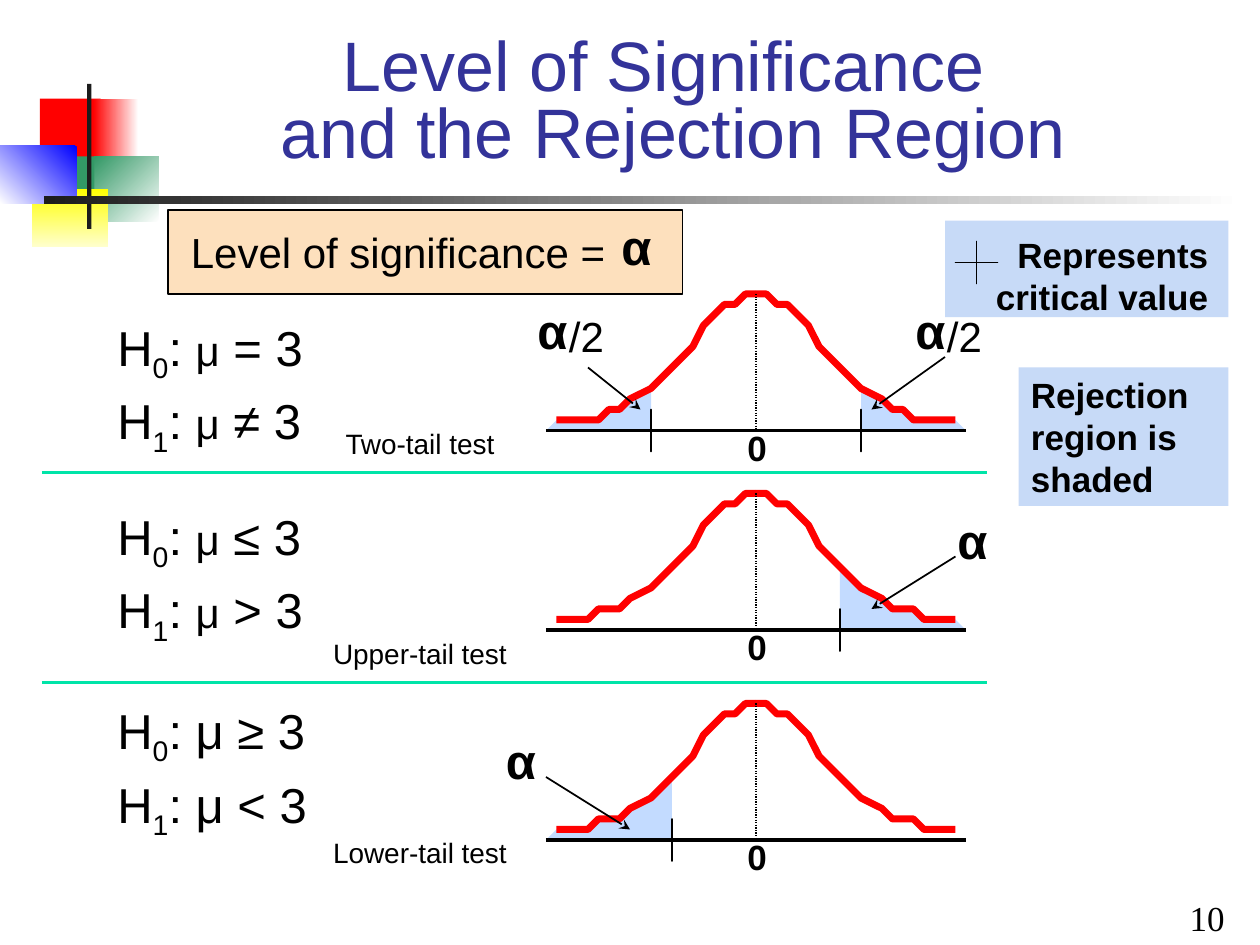
from pptx import Presentation
from pptx.dml.color import RGBColor
from pptx.enum.dml import MSO_LINE
from pptx.enum.shapes import MSO_CONNECTOR, MSO_SHAPE
from pptx.enum.text import MSO_ANCHOR, PP_ALIGN
from pptx.oxml.ns import qn
from pptx.util import Inches, Pt
from lxml.etree import SubElement

COLORS = {
    "black": "000000", "white": "FFFFFF", "ink": "1C1C1C", "title": "333399",
    "red": "FF0000", "green": "339966", "yellow": "FFFF00", "cream": "FFFFCC",
    "blue": "0000FF", "peach": "FDE0BD", "note": "C7DAF7", "tail": "C3DBFF",
    "star": "F8F800", "divider": "00E4A8",
}
RGB = {name: RGBColor.from_string(value) for name, value in COLORS.items()}

# The slide is a grid of 120 columns by 90 rows
deck = Presentation()
deck.slide_width, deck.slide_height = Inches(10), Inches(7.5)
CELL = deck.slide_width / 120
page = deck.slides.add_slide(deck.slide_layouts[5])


def write(text, left, top, width, height, size=24, bold=False, font="Arial",
          align=PP_ALIGN.LEFT, anchor=MSO_ANCHOR.TOP, spacing=None,
          mu_size=None, fill=None):
    """Add a text box; bars split a line as plain|subscript|plain|mu|plain."""
    box = page.shapes.add_textbox(*(int(n * CELL) for n in (left, top, width, height)))
    if fill:
        box.fill.solid()
        box.fill.fore_color.rgb = RGB[fill]
    frame = box.text_frame
    frame.word_wrap = True
    frame.vertical_anchor = anchor
    for number, line in enumerate(text.split("\n")):
        para = frame.add_paragraph() if number else frame.paragraphs[0]
        para.alignment = align
        para.line_spacing = spacing
        for index, piece in enumerate(line.split("|")):
            span = para.add_run()
            span.text = piece
            span.font.name, span.font.bold = font, bold
            span.font.size = Pt(mu_size if index == 3 else size)
            span.font.color.rgb = RGB["black"]
            if index == 1:
                span._r.get_or_add_rPr().set("baseline", "-25000")
    return box


def draw_path(points, fill=None, line=None, weight=1):
    """Draw an outline through grid points; it is closed when filled."""
    builder = page.shapes.build_freeform(*points[0], scale=CELL)
    builder.add_line_segments(points[1:], close=bool(fill))
    path = builder.convert_to_shape()
    path.shadow.inherit = False
    if fill:
        path.fill.solid()
        path.fill.fore_color.rgb = RGB[fill]
    else:
        path.fill.background()
    if line:
        path.line.color.rgb = RGB[line]
        path.line.width = Pt(weight)
    else:
        path.line.fill.background()


# Corner ornament, rule and peach box: left, top, width, height, colours, angle
blocks = [
    (3.8, 9.4, 5.8, 6.2, ["red"], 0),
    (8.9, 9.4, 4.3, 6.2, ["white", "red"], 180),
    (9, 14.9, 6.1, 6.2, ["white", "green"], 135),
    (5.2, 14.9, 3.8, 6.2, ["green"], 0),
    (3, 18, 7.3, 5.5, ["yellow", "cream"], 270),
    (0, 13.9, 7.3, 5.5, ["blue", "white"], 225),
    (8.3, 8, 0.4, 13.8, ["ink"], 0),
    (4.2, 18.7, 114.1, 0.7, ["white", "ink"], 180),
    (16, 20, 49, 8, ["peach"], 0),
]
for *place, tones, angle in blocks:
    block = page.shapes.add_shape(MSO_SHAPE.RECTANGLE, *(int(n * CELL) for n in place))
    block.shadow.inherit = False
    block.line.fill.background()
    if len(tones) == 1:
        block.fill.solid()
        block.fill.fore_color.rgb = RGB[tones[0]]
    else:
        block.fill.gradient()
        block.fill.gradient_angle = angle
        for stop, tone in zip(block.fill.gradient_stops, tones):
            stop.color.rgb = RGB[tone]
block.line.color.rgb = RGB["black"]
block.line.width = Pt(0.75)

# Title
title = page.shapes.title
title.left, title.top, title.width, title.height = (
    int(n * CELL) for n in (13, 4, 102.2, 13))
title.text_frame.text = "Level of Significance \vand the Rejection Region"
title.text_frame.vertical_anchor = MSO_ANCHOR.BOTTOM
heading = title.text_frame.paragraphs[0]
heading.alignment = PP_ALIGN.CENTER
heading.line_spacing = 0.8
for span in heading.runs:
    span.font.name, span.font.size = "Arial", Pt(40)
    span.font.color.rgb = RGB["title"]

# Half of the bell: columns from the centre, rows above the axis
BELL = [(19, 1.05), (17, 1.15), (16, 1.3), (15, 1.5), (14, 1.75), (13, 2.15),
        (12, 2.6), (10, 4), (8, 6), (6, 8.35), (5, 9.55), (4, 10.65),
        (3, 11.6), (2, 12.35), (1, 12.8), (0, 13)]
CENTER = 72

# Tests: axis row, tails, cut-off, label and its row, hypotheses and row, mu size
tests = [
    (41, (-1, 1), 10, "Two-tail test", 40,
     "H|0|: |μ| = 3\nH|1|: |μ| ≠ 3", 29, 24),
    (60, (1,), 8, "Upper-tail test", 60,
     "H|0|: |μ| ≤ 3\nH|1|: |μ| > 3", 47, 24),
    (80, (-1,), 8, "Lower-tail test", 79,
     "H|0|: |μ| ≥ 3\nH|1|: |μ| < 3", 65.5, 28),
]
lines = [(4, row, 94, row, "divider", 2.25, None) for row in (45, 65)]
stars = [(93, 25)]
for axis, tails, cut, label, label_row, hypotheses, row, mu_size in tests:
    for side in tails:
        region = [(20, 0)] + [point for point in BELL if point[0] >= cut] + [(cut, 0)]
        draw_path([(CENTER + side * x, axis - y) for x, y in region], fill="tail")
        stars.append((CENTER + side * cut, axis))
    for side in (-1, 1):
        draw_path([(CENTER + side * x, axis - y) for x, y in BELL], line="red", weight=4)
    lines.append((52, axis, 92, axis, "black", 2, None))
    lines.append((CENTER, axis - 13, CENTER, axis, "black", 0.75, "dots"))
    write("0", 70, axis - 1, 4, 5.2, size=20, bold=True)
    write(label, 30, label_row, 20, 4.3, size=16, align=PP_ALIGN.CENTER)
    write(hypotheses, 10, row, 28, 15, size=28, spacing=1.1, mu_size=mu_size)

# Notes on the right
legend = write("Represents\ncritical value", 90, 21, 27, 9.2, size=20, bold=True,
               align=PP_ALIGN.RIGHT, anchor=MSO_ANCHOR.BOTTOM, fill="note")
legend.text_frame.margin_right = Inches(0.16)
legend.text_frame.margin_bottom = 0
write("Rejection region is shaded", 97, 35, 20, 13.2, size=20, bold=True, fill="note")

# Axes, centre lines, dividers and arrows
lines += [(*ends, "black", 1, "arrow") for ends in (
    (56, 35, 61, 39), (90, 34, 83, 39), (91, 53, 83, 58), (52, 74, 60, 79))]
for *ends, color, weight, style in lines:
    line = page.shapes.add_connector(MSO_CONNECTOR.STRAIGHT, *(int(n * CELL) for n in ends))
    line.line.color.rgb = RGB[color]
    line.line.width = Pt(weight)
    if style == "dots":
        line.line.dash_style = MSO_LINE.ROUND_DOT
    if style == "arrow":
        SubElement(line.line._get_or_add_ln(), qn("a:tailEnd"), type="stealth")
    SubElement(line._element.spPr, qn("a:effectLst"))

# Critical values
STAR = [(2, 0), (0.36, -0.36), (0, -2), (-0.36, -0.36),
        (-2, 0), (-0.36, 0.36), (0, 2), (0.36, 0.36)]
for x, y in stars:
    draw_path([(x + dx, y + dy) for dx, dy in STAR], fill="star", line="black")

# Significance labels
write("Level of significance =", 17, 21, 43, 6)
for column, row in ((58, 20), (50, 28), (86, 28), (90, 48), (47, 69)):
    write("α", column, row, 6, 6.7, size=28, bold=True)
for column in (53, 89):
    write("/2", column, 29, 8, 6)

# Page number
write("10", 89.8, 85.8, 28, 4.2, size=20, font="Times New Roman",
      align=PP_ALIGN.RIGHT, anchor=MSO_ANCHOR.BOTTOM)

deck.save("out.pptx")
